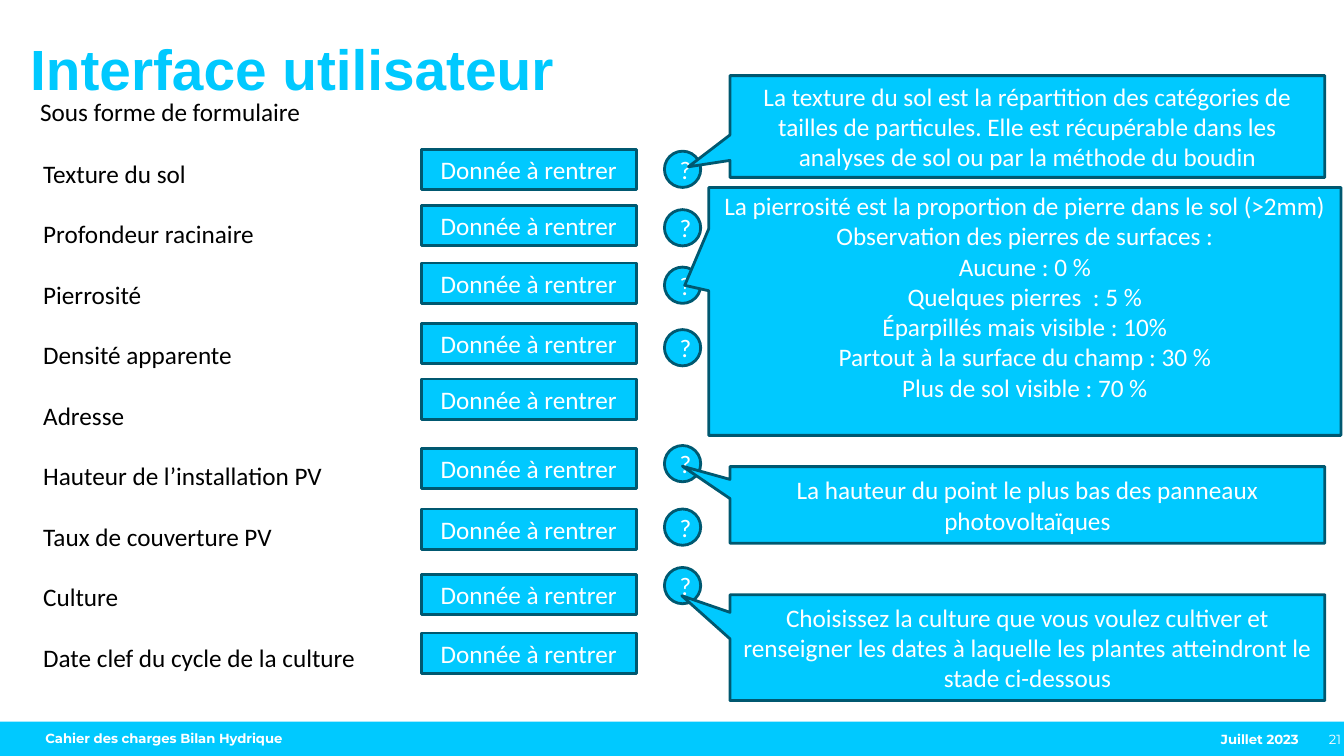
from pptx import Presentation
from pptx.dml.color import RGBColor
from pptx.enum.shapes import MSO_SHAPE
from pptx.enum.text import MSO_ANCHOR, PP_ALIGN
from pptx.util import Inches, Pt

CYAN, NAVY, WHITE, BLACK = "00C9FF", "005870", "FFFFFF", "000000"

# Label, top of its field, top of its help mark
ROWS = [
    ("Texture du sol", 1.48, 1.5),
    ("Profondeur racinaire", 2.04, 2.08),
    ("Pierrosité", 2.61, 2.65),
    ("Densité apparente", 3.21, 3.27),
    ("Adresse", 3.76, None),
    ("Hauteur de l’installation PV", 4.45, 4.42),
    ("Taux de couverture PV", 5.05, 5.05),
    ("Culture", 5.7, 5.63),
    ("Date clef du cycle de la culture", 6.28, None),
]

STONES = [
    "La pierrosité est la proportion de pierre dans le sol (>2mm)",
    "Observation des pierres de surfaces :",
    "Aucune : 0 %",
    "Quelques pierres  : 5 %",
    "Éparpillés mais visible : 10%",
    "Partout à la surface du champ : 30 %",
    "Plus de sol visible : 70 %",
]

# Box, pointer, lines, bottom inset
TIPS = [
    ((7.24, 0.75, 5.9, 1.01), (-0.57, 0.396),
     ["La texture du sol est la répartition des catégories de tailles de "
      "particules. Elle est récupérable dans les analyses de sol ou par la "
      "méthode du boudin"], 0.05),
    ((7.03, 1.86, 6.27, 2.46), (-0.538, -0.105), STONES, 0.35),
    ((7.24, 5.9, 5.9, 1.05), (-0.581, -0.49),
     ["Choisissez la culture que vous voulez cultiver et renseigner les dates "
      "à laquelle les plantes atteindront le stade ci-dessous"], 0.05),
    ((7.24, 4.63, 5.9, 0.76), (-0.58, -0.506),
     ["La hauteur du point le plus bas des panneaux photovoltaïques"], 0.05),
]


def color(code):
    return RGBColor.from_string(code)


def write(frame, lines, size=18, font="Calibri", ink=BLACK, bold=False,
          align=PP_ALIGN.LEFT, gap=0):
    """Fill a text frame, one paragraph a line, with gap points between."""
    frame.word_wrap = True
    for i, line in enumerate(lines):
        para = frame.add_paragraph() if i else frame.paragraphs[0]
        para.alignment = align
        para.space_before = Pt(gap if i else 0)
        run = para.add_run()
        run.text = line
        run.font.size = Pt(size)
        run.font.name = font
        run.font.bold = bold
        run.font.color.rgb = color(ink)


class Form:
    def __init__(self, slide, fill, edge):
        self.slide, self.fill, self.edge = slide, fill, edge

    def text(self, box, lines, inset=True, **style):
        frame = self.slide.shapes.add_textbox(*map(Inches, box)).text_frame
        if not inset:
            frame.margin_left = frame.margin_right = 0
            frame.margin_top = frame.margin_bottom = 0
        write(frame, lines, **style)

    def band(self, box):
        shape = self.slide.shapes.add_shape(
            MSO_SHAPE.RECTANGLE, *map(Inches, box))
        shape.shadow.inherit = False
        shape.fill.solid()
        shape.fill.fore_color.rgb = color(self.fill)
        shape.line.fill.background()

    def shape(self, kind, box, lines, bottom=0.05):
        shape = self.slide.shapes.add_shape(kind, *map(Inches, box))
        shape.shadow.inherit = False
        shape.fill.solid()
        shape.fill.fore_color.rgb = color(self.fill)
        shape.line.color.rgb = color(self.edge)
        shape.line.width = Pt(2)
        frame = shape.text_frame
        frame.vertical_anchor = MSO_ANCHOR.MIDDLE
        frame.margin_bottom = Inches(bottom)
        write(frame, lines, ink=WHITE, align=PP_ALIGN.CENTER)
        return shape

    def field(self, top):
        self.shape(MSO_SHAPE.RECTANGLE, (4.18, top, 2.13, 0.4),
                   ["Donnée à rentrer"])

    def help(self, top):
        self.shape(MSO_SHAPE.OVAL, (6.59, top, 0.36, 0.36), ["?"])

    def tip(self, box, point, lines, bottom):
        shape = self.shape(MSO_SHAPE.RECTANGULAR_CALLOUT, box, lines, bottom)
        shape.adjustments[0], shape.adjustments[1] = point

    def footer(self, box, line, **style):
        self.text(box, [line], inset=False, size=9.4, font="Montserrat",
                  ink=WHITE, **style)


def main():
    deck = Presentation()
    deck.slide_width, deck.slide_height = Inches(13.33), Inches(7.5)
    form = Form(deck.slides.add_slide(deck.slide_layouts[6]), CYAN, NAVY)

    form.band((0, 7.16, 13.33, 0.34))
    form.footer((0.45, 7.25, 3.99, 0.32), "Cahier des charges Bilan Hydrique",
                bold=True)
    form.footer((10.1, 7.26, 2.78, 0.33), "Juillet 2023", bold=True,
                align=PP_ALIGN.RIGHT)
    form.footer((12.98, 7.26, 0.32, 0.16), "21", align=PP_ALIGN.RIGHT)

    form.text((0.3, 0.34, 11.43, 0.68), ["Interface utilisateur"], inset=False,
              size=40.5, font="Arial", ink=CYAN, bold=True)
    form.text((0.3, 0.91, 4.66, 0.4), ["Sous forme de formulaire"])
    form.text((0.33, 1.52, 4.21, 5.25), [row[0] for row in ROWS], gap=21.6)

    for _, top, _ in ROWS:
        form.field(top)
    for _, _, top in ROWS:
        if top is not None:
            form.help(top)
    for tip in TIPS:
        form.tip(*tip)

    deck.save("out.pptx")


if __name__ == "__main__":
    main()
